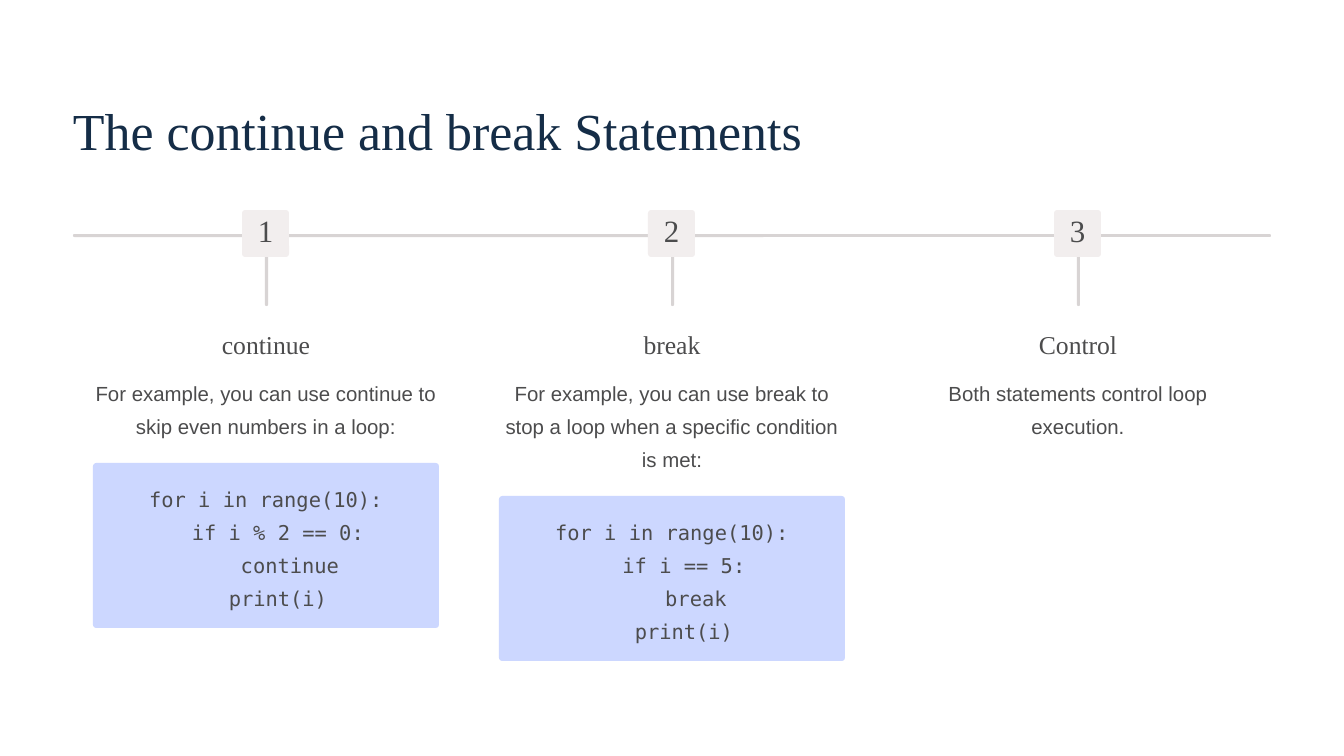
"""Build a three-step timeline slide on the continue and break statements."""
from dataclasses import dataclass

from pptx import Presentation
from pptx.dml.color import RGBColor
from pptx.enum.shapes import MSO_SHAPE
from pptx.enum.text import PP_ALIGN
from pptx.slide import Slide
from pptx.text.text import _Paragraph as Para
from pptx.util import Emu, Pt

SCALE = 914400 / 84
NAVY = RGBColor(0x15, 0x2D, 0x47)
GRAY = RGBColor(0x4C, 0x4C, 0x4D)
RULE = RGBColor(0xD8, 0xD4, 0xD4)
BADGE = RGBColor(0xF2, 0xEE, 0xEE)
BLUE = RGBColor(0xCC, 0xD7, 0xFF)
FIRST, PITCH = 266, 406
ROW, INDENT = 33, 12


@dataclass(frozen=True)
class Box:
    """Hold a place in px."""
    left: int
    top: int
    width: int
    height: int

    def emu(self) -> list[Emu]:
        """Return the four lengths in EMU."""
        return [px(n) for n in (self.left, self.top, self.width, self.height)]


@dataclass(frozen=True)
class Style:
    """Hold the look of a text."""
    font: str
    size: float
    pitch: float
    color: RGBColor = GRAY
    align: PP_ALIGN = PP_ALIGN.CENTER


@dataclass(frozen=True)
class Code:
    """Hold a code line and its indent in characters."""
    text: str
    depth: int = 0


@dataclass(frozen=True)
class Step:
    """Hold one column of the timeline."""
    name: str
    body: str
    rows: int
    code: tuple[Code, ...] = ()


TITLE = Style("Times New Roman", 44.5, 55.5, NAVY, PP_ALIGN.LEFT)
NUMBER = Style("Times New Roman", 26.5, 26.5)
HEAD = Style("Times New Roman", 22, 27.5)
BODY = Style("Arial", 17.5, 28.5)
MONO = Style("DejaVu Sans Mono", 17.5, 28.5)


def loop(test: str, word: str) -> tuple[Code, ...]:
    """Return a sample loop with one test."""
    return (Code("for i in range(10):"), Code(test, 2),
            Code(word, 4), Code("print(i)", 2))


STEPS = (
    Step("continue", "For example, you can use continue to skip even numbers "
         "in a loop:", 2, loop("if i % 2 == 0:", "continue")),
    Step("break", "For example, you can use break to stop a loop when a "
         "specific condition is met:", 3, loop("if i == 5:", "break")),
    Step("Control", "Both statements control loop execution.", 2),
)


def px(n: int) -> Emu:
    """Turn px into EMU."""
    return Emu(round(n * SCALE))


def block(slide: Slide, box: Box, fill: RGBColor, bend: float) -> None:
    """Draw a plain rounded block."""
    shape = slide.shapes.add_shape(MSO_SHAPE.ROUNDED_RECTANGLE, *box.emu())
    shape.adjustments[0] = bend
    shape.shadow.inherit = False
    shape.fill.solid()
    shape.fill.fore_color.rgb = fill
    shape.line.fill.background()


def dress(para: Para, style: Style) -> None:
    """Format a paragraph and its runs."""
    para.alignment = style.align
    para.line_spacing = Pt(style.pitch)
    for run in para.runs:
        run.font.name = style.font
        run.font.size = Pt(style.size)
        run.font.color.rgb = style.color


def write(slide: Slide, box: Box, style: Style, *lines: Code) -> None:
    """Write lines of text in one box."""
    frame = slide.shapes.add_textbox(*box.emu()).text_frame
    frame.word_wrap = True
    frame.margin_left = frame.margin_right = 0
    frame.margin_top = frame.margin_bottom = 0
    frame.text = "\n".join(line.text for line in lines)
    for para, line in zip(frame.paragraphs, lines):
        dress(para, style)
        if line.depth:
            props = para._p.get_or_add_pPr()
            props.set("marL", str(px(line.depth * INDENT)))
            props.set("indent", "0")


def column(slide: Slide, mid: int, count: int, step: Step) -> None:
    """Draw one step around its middle."""
    block(slide, Box(mid - 1, 234, 3, 72), RULE, 0.5)
    block(slide, Box(mid - 24, 210, 47, 47), BADGE, 0.07)
    write(slide, Box(mid - 24, 218, 47, 31), NUMBER, Code(str(count)))
    write(slide, Box(mid - 130, 328, 260, 33), HEAD, Code(step.name))
    body = Box(mid - 172, 372, 344, step.rows * ROW)
    write(slide, body, BODY, Code(step.body))
    if step.code:
        top = body.top + body.height + 25
        block(slide, Box(mid - 173, top, 346, 165), BLUE, 0.02)
        write(slide, Box(mid - 152, top + 15, 304, 134), MONO, *step.code)


def main() -> None:
    """Build and save the slide."""
    deck = Presentation()
    deck.slide_width, deck.slide_height = px(1344), px(756)
    slide = deck.slides.add_slide(deck.slide_layouts[6])
    write(slide, Box(73, 96, 764, 66), TITLE,
          Code("The continue and break Statements"))
    block(slide, Box(73, 234, 1198, 3), RULE, 0.5)
    for i, step in enumerate(STEPS):
        column(slide, FIRST + i * PITCH, i + 1, step)
    deck.save("out.pptx")


if __name__ == "__main__":
    main()
